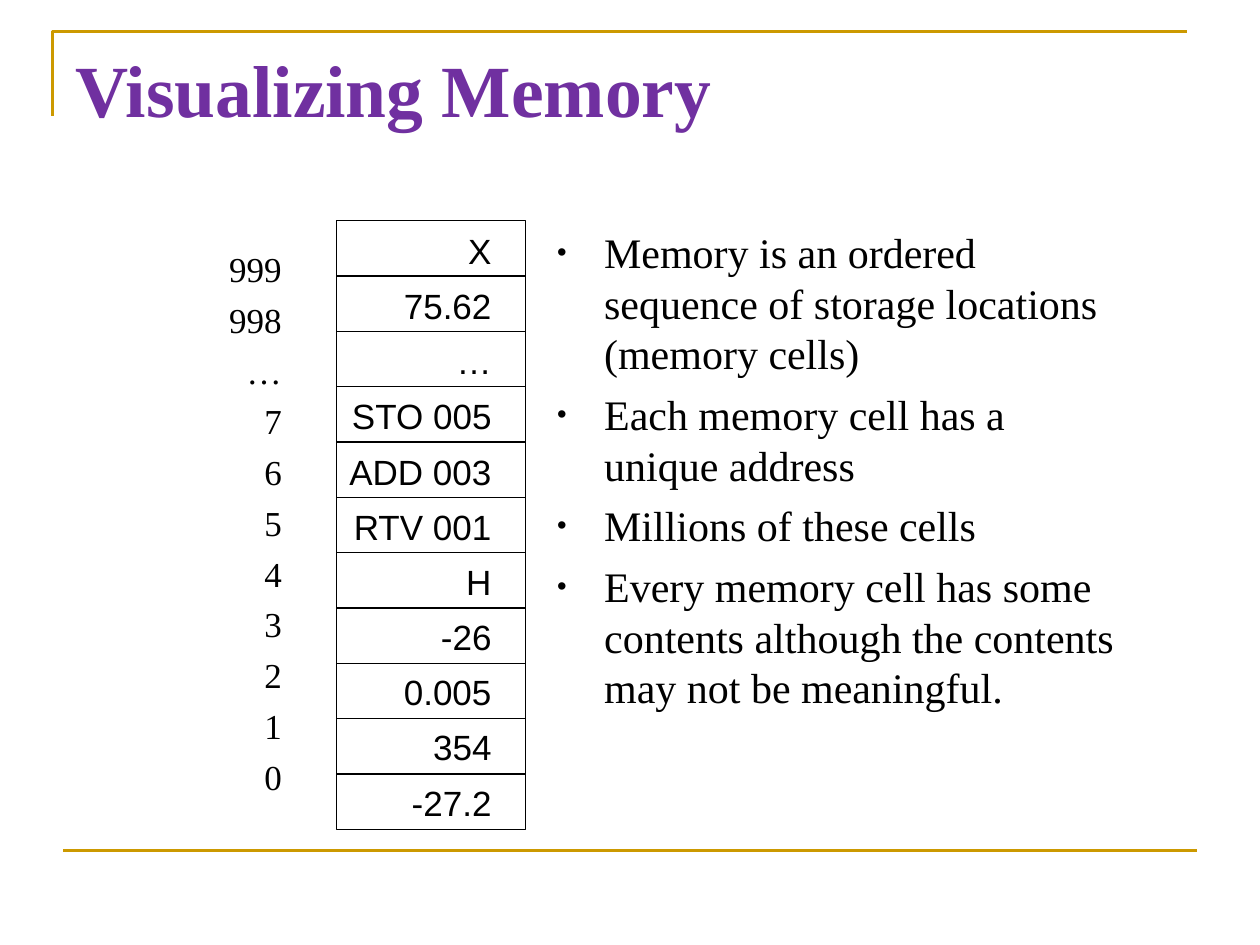
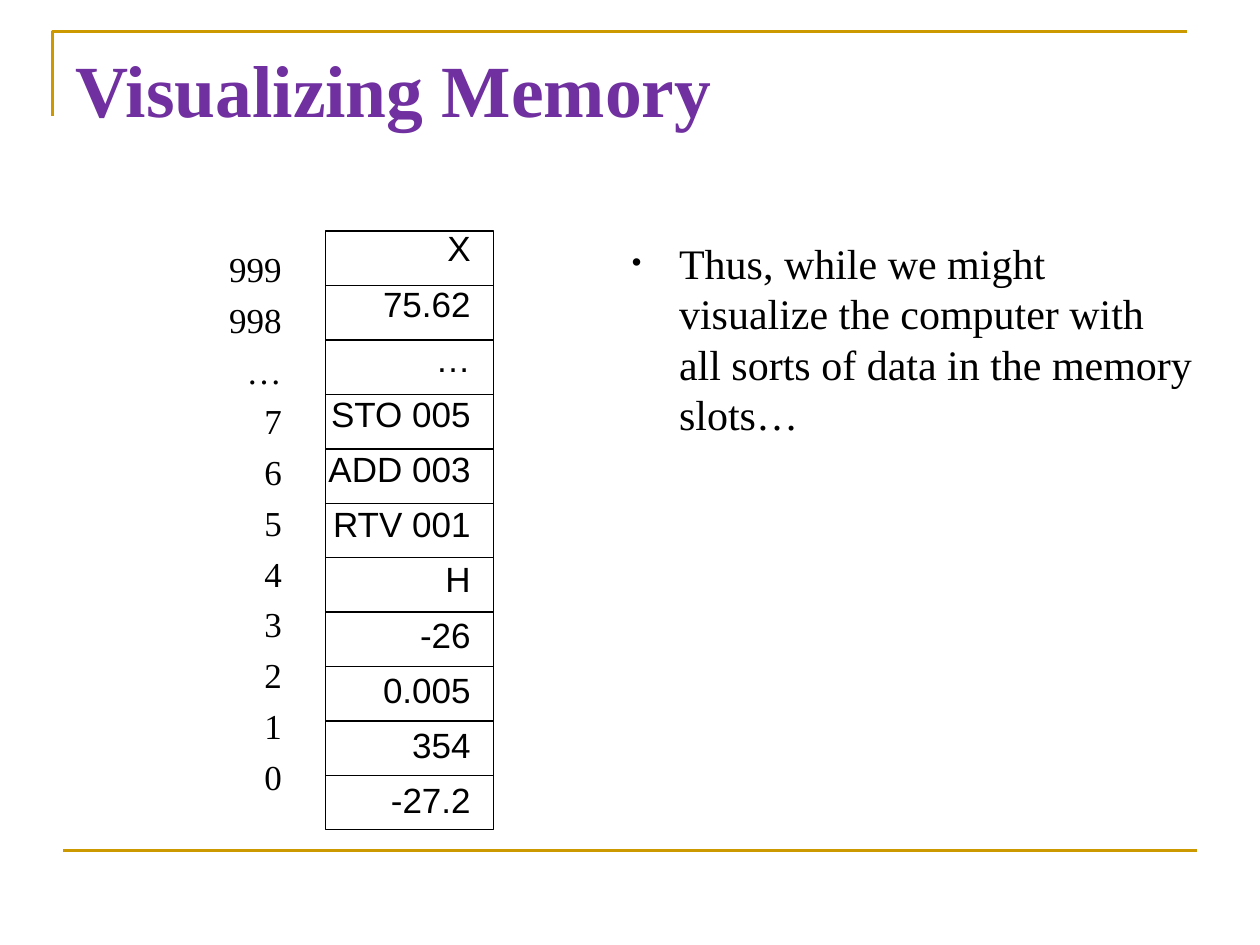
from dataclasses import dataclass

from lxml import etree
from pptx import Presentation
from pptx.dml.color import RGBColor
from pptx.enum.shapes import MSO_CONNECTOR, MSO_SHAPE
from pptx.enum.text import MSO_ANCHOR, PP_ALIGN
from pptx.oxml.ns import qn
from pptx.util import Cm, Pt

LINE = MSO_CONNECTOR.STRAIGHT
RECT = MSO_SHAPE.RECTANGLE
TOP = MSO_ANCHOR.TOP
LEFT, RIGHT = PP_ALIGN.LEFT, PP_ALIGN.RIGHT


@dataclass(frozen=True)
class Theme:
    gold: RGBColor = RGBColor(0xCC, 0x99, 0x00)
    plum: RGBColor = RGBColor(0x70, 0x30, 0xA0)
    ink: RGBColor = RGBColor(0, 0, 0)
    serif: str = "Times New Roman"
    sans: str = "Arial"
    head: int = 42
    body: int = 24
    cell: int = 20
    rule: float = 1.5
    thin: float = 0.75


THEME = Theme()

CELLS = ["X", "75.62", "…", "STO 005", "ADD 003", "RTV 001",
         "H", "-26", "0.005", "354", "-27.2"]
KEYS = ["999", "998", "…", "7", "6", "5", "4", "3", "2", "1", "0"]

# Per slide: cell text box, grid box, bullet box (all in cm), bullets
PAGES = [
    ((2.54, 4.5, 7.62, 12.22), (6.78, 4.45, 3.81, 12.27),
     (10.98, 4.45, 11.86, 12.7),
     ["Memory is an ordered sequence of storage locations (memory cells)",
      "Each memory cell has a unique address",
      "Millions of these cells",
      "Every memory cell has some contents although the contents "
      "may not be meaningful."]),
    ((1.27, 4.45, 8.47, 12.57), (6.56, 4.66, 3.39, 12.07),
     (12.49, 4.66, 11.86, 12.7),
     ["Thus, while we might visualize the computer with all sorts "
      "of data in the memory slots…"]),
]


def add_line(shapes, start, end, color, width):
    line = shapes.add_connector(LINE, *map(Cm, start + end))
    line.line.color.rgb = color
    line.line.width = Pt(width)
    etree.SubElement(line._element.spPr, qn("a:effectLst"))


def add_text(slide, box, lines, size, font, color=THEME.ink, bold=False,
             align=LEFT, gap=0):
    """Add one paragraph per line and return the paragraphs."""
    frame = slide.shapes.add_textbox(*map(Cm, box)).text_frame
    frame.word_wrap = True
    frame.vertical_anchor = TOP
    for i, text in enumerate(lines):
        para = frame.add_paragraph() if i else frame.paragraphs[0]
        para.alignment = align
        para.space_before = Pt(gap)
        run = para.add_run()
        run.text = text
        run.font.size = Pt(size)
        run.font.name = font
        run.font.bold = bold
        run.font.color.rgb = color
    return frame.paragraphs


def add_list(slide, box, lines):
    """Add text with small hanging bullets."""
    for para in add_text(slide, box, lines, THEME.body, THEME.serif, gap=6):
        props = para._p.get_or_add_pPr()
        props.set("marL", str(Cm(0.95)))
        props.set("indent", str(-Cm(0.95)))
        tint = etree.SubElement(props, qn("a:buClr"))
        etree.SubElement(tint, qn("a:srgbClr"), val=str(THEME.ink))
        etree.SubElement(props, qn("a:buSzPct"), val="65000")
        etree.SubElement(props, qn("a:buFont"), typeface=THEME.sans)
        etree.SubElement(props, qn("a:buChar"), char="•")


def add_grid(slide, box, rows):
    """Add an outlined column split into equal rows."""
    left, top, width, height = box
    group = slide.shapes.add_group_shape().shapes
    rect = group.add_shape(RECT, *map(Cm, box))
    rect.shadow.inherit = False
    rect.fill.background()
    rect.line.color.rgb = THEME.ink
    rect.line.width = Pt(THEME.thin)
    for row in range(1, rows):
        y = top + height * row / rows
        add_line(group, (left, y), (left + width, y), THEME.ink, THEME.thin)


def add_frame(slide, title):
    """Add the gold corner, the foot rule and the title."""
    pen = slide.shapes.build_freeform(Cm(1.06), Cm(2.33))
    pen.add_line_segments([(Cm(1.06), Cm(0.64)), (Cm(23.92), Cm(0.64))],
                          close=False)
    edge = pen.convert_to_shape()
    edge.shadow.inherit = False
    edge.fill.background()
    edge.line.color.rgb = THEME.gold
    edge.line.width = Pt(THEME.rule)
    add_line(slide.shapes, (1.27, 17.15), (24.13, 17.15),
             THEME.gold, THEME.rule)
    add_text(slide, (1.27, 0.76, 22.86, 3.81), [title],
             THEME.head, THEME.serif, THEME.plum, bold=True)


def main():
    deck = Presentation()
    deck.slide_width, deck.slide_height = Cm(25.4), Cm(19.05)
    blank = deck.slide_layouts[6]
    for cells, grid, notes, points in PAGES:
        slide = deck.slides.add_slide(blank)
        add_frame(slide, "Visualizing Memory")
        # Memory column with its addresses
        add_text(slide, cells, CELLS, THEME.cell, THEME.sans,
                 align=RIGHT, gap=7.5)
        add_grid(slide, grid, len(CELLS))
        add_text(slide, (2.12, 4.87, 3.81, 11.86), KEYS, THEME.cell,
                 THEME.serif, align=RIGHT, gap=5)
        # Remarks
        add_list(slide, notes, points)
    deck.save("out.pptx")


if __name__ == "__main__":
    main()
